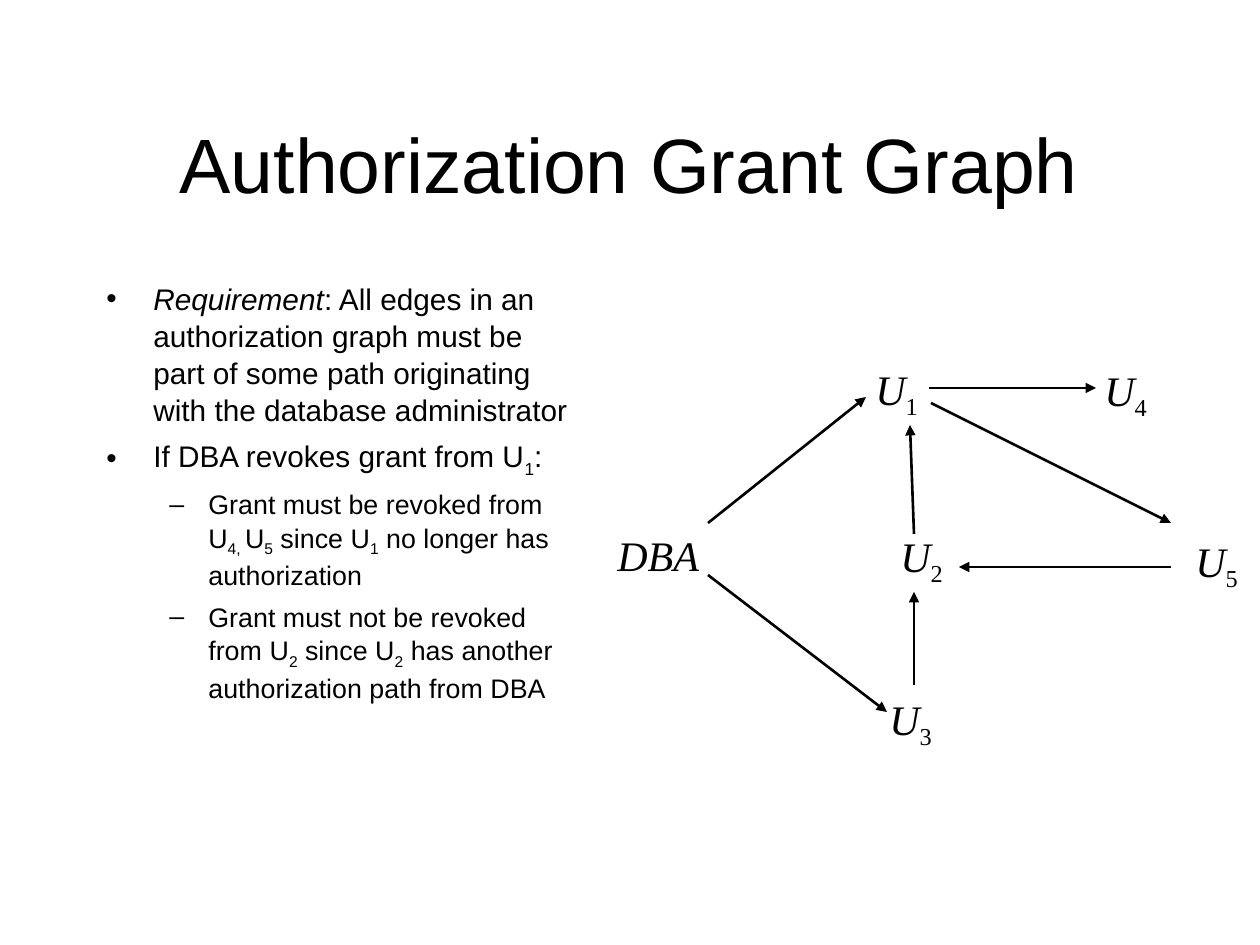
from pptx import Presentation
from pptx.dml.color import RGBColor
from pptx.enum.shapes import MSO_CONNECTOR
from pptx.enum.text import MSO_ANCHOR, MSO_AUTO_SIZE, PP_ALIGN
from pptx.util import Pt
from lxml import etree

STRAIGHT = MSO_CONNECTOR.STRAIGHT
MIDDLE = MSO_ANCHOR.MIDDLE
CENTER = PP_ALIGN.CENTER
GROW = MSO_AUTO_SIZE.SHAPE_TO_FIT_TEXT
NO_FIT = MSO_AUTO_SIZE.NONE
NS = "{http://schemas.openxmlformats.org/drawingml/2006/main}"

PX = 914400 / 126  # EMU in one px
THEME = {
    "ink": RGBColor(0, 0, 0),
    "sans": "Arial", "serif": "Times New Roman",
    "title": 44, "point": 17, "subpoint": 15.3, "node": 24, "line": 1.5,
}


def emu(*lengths):
    return [round(n * PX) for n in lengths]


def write(p, text, size, font="sans", italic=False, sub=False):
    r = p.add_run()
    r.text = text
    r.font.size = Pt(THEME[size])
    r.font.name = THEME[font]
    r.font.italic = italic
    r.font.color.rgb = THEME["ink"]
    if sub:
        r.font._element.set("baseline", "-25000")


prs = Presentation()
prs.slide_width, prs.slide_height = emu(1260, 945)
s = prs.slides.add_slide(prs.slide_layouts[5])

# Title
sp = s.shapes.title
sp.left, sp.top, sp.width, sp.height = emu(94, 84, 1071, 158)
tf = sp.text_frame
tf.vertical_anchor = MIDDLE
tf.auto_size = NO_FIT
p = tf.paragraphs[0]
p.alignment = CENTER
write(p, "Authorization Grant Graph", "title")

# Bullet list: level, then pieces of text with their style
ITALIC, SUB = {"italic": True}, {"sub": True}
points = [
    (0, [("Requirement", ITALIC),
         (": All edges in an authorization graph must be part of some path "
          "originating with the database administrator", {})]),
    (0, [("If DBA revokes grant from U", {}), ("1", SUB), (":", {})]),
    (1, [("Grant must be revoked from U", {}), ("4, ", SUB), ("U", {}),
         ("5", SUB), (" since U", {}), ("1", SUB),
         (" no longer has authorization", {})]),
    (1, [("Grant must not be revoked from U", {}), ("2", SUB),
         (" since U", {}), ("2", SUB),
         (" has another authorization path from DBA", {})]),
]
# size, bullet, left margin px, hanging indent px, space before pt
levels = [("point", "•", 47, 47, 5), ("subpoint", "–", 102, 39, 4.5)]

tf = s.shapes.add_textbox(*emu(94, 273, 493, 567)).text_frame
tf.word_wrap = True
for i, (level, pieces) in enumerate(points):
    size, bullet, margin, hang, before = levels[level]
    p = tf.add_paragraph() if i else tf.paragraphs[0]
    p.level = level
    p.line_spacing = 1.04
    p.space_before = Pt(before if i else 0)
    pPr = p._p.get_or_add_pPr()
    left, indent = emu(margin, -hang)
    pPr.set("marL", str(left))
    pPr.set("indent", str(indent))
    etree.SubElement(pPr, NS + "buFont", typeface=THEME["sans"])
    etree.SubElement(pPr, NS + "buChar", char=bullet)
    for text, style in pieces:
        write(p, text, size, **style)

# Graph nodes: name, subscript, box
nodes = [
    ("U", "1", 863, 357, 68, 71),
    ("U", "4", 1092, 358, 68, 71),
    ("U", "2", 888, 524, 68, 71),
    ("U", "5", 1183, 529, 68, 71),
    ("U", "3", 877, 687, 68, 71),
    ("DBA", "", 605, 523, 107, 63),
]
for name, number, *box in nodes:
    tf = s.shapes.add_textbox(*emu(*box)).text_frame
    tf.word_wrap = False
    tf.auto_size = GROW
    p = tf.paragraphs[0]
    write(p, name, "node", "serif", italic=True)
    if number:
        write(p, number, "node", "serif", sub=True)

# Grant edges, each pointing at its second end
edges = [
    (708, 523, 866, 397),    # DBA to U1
    (929, 388, 1096, 388),   # U1 to U4
    (708, 575, 887, 712),    # DBA to U3
    (1171, 567, 959, 567),   # U5 to U2
    (931, 403, 1171, 523),   # U1 to U5
    (914, 534, 910, 425),    # U2 to U1
    (914, 685, 914, 592),    # U3 to U2
]
for ends in edges:
    c = s.shapes.add_connector(STRAIGHT, *emu(*ends))
    c.line.color.rgb = THEME["ink"]
    c.line.width = Pt(THEME["line"])
    etree.SubElement(c.line._get_or_add_ln(), NS + "tailEnd", type="triangle")
    etree.SubElement(c._element.spPr, NS + "effectLst")

prs.save("out.pptx")
